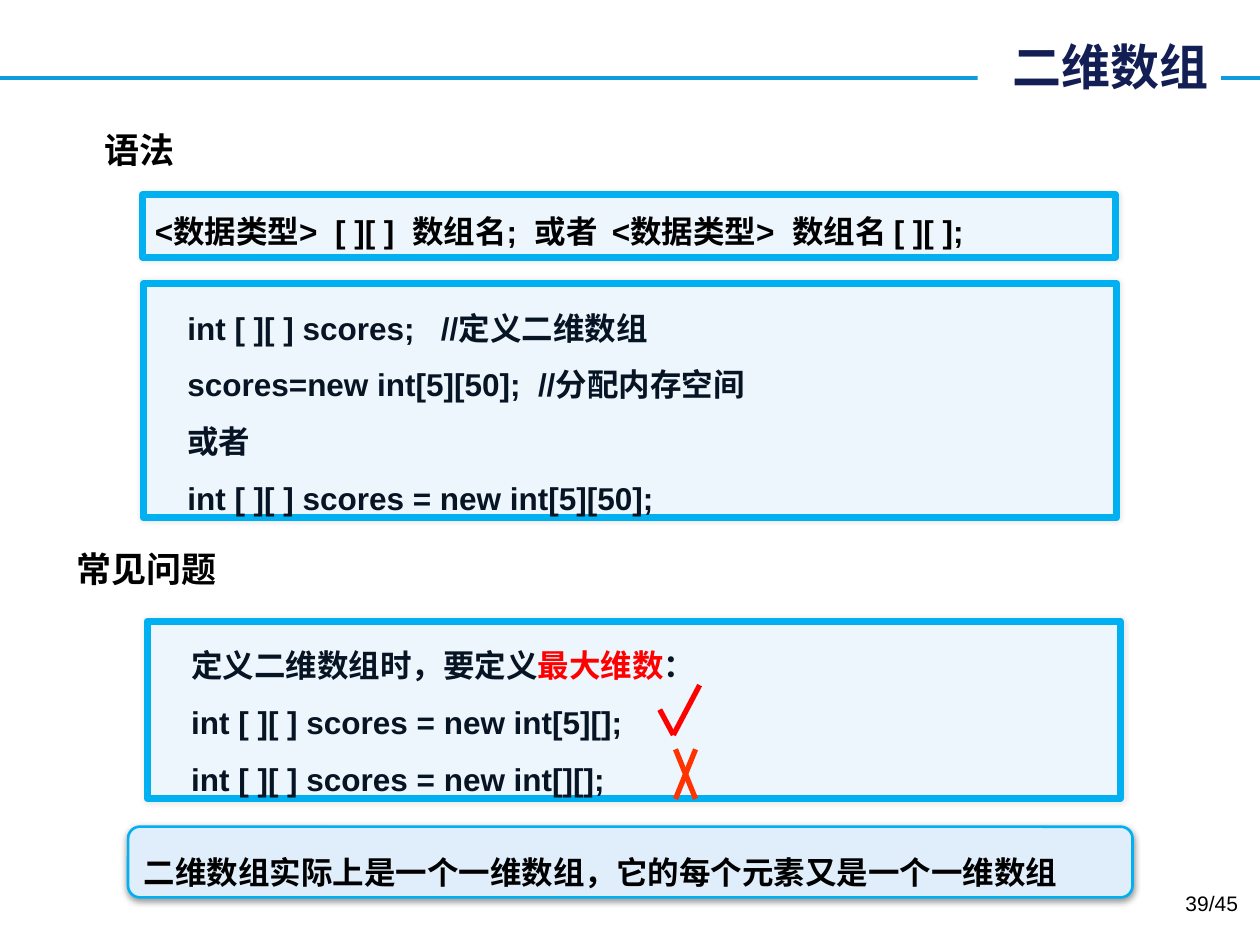
"""Build the slide on two-dimensional arrays."""
from lxml import etree
from pptx import Presentation
from pptx.dml.color import RGBColor
from pptx.enum import shapes, text
from pptx.oxml import ns
from pptx.util import Pt

HUES = {"rule": "0E9CDE", "edge": "00B0F0", "title": "121E54", "code": "071424",
        "black": "000000", "white": "FFFFFF", "pale": "EDF5FD", "note": "E0EEFB",
        "red": "FF0000", "cross": "FF3300"}
HAN = "Noto Sans CJK SC"


def hue(name):
    """Return the named colour."""
    return RGBColor.from_string(HUES[name])


def shade(alpha, blur, dist, turn):
    """Make an effect list with one outer shadow."""
    fx = etree.Element(ns.qn("a:effectLst"))
    cast = etree.SubElement(fx, ns.qn("a:outerShdw"), blurRad=str(Pt(blur)),
                            dist=str(Pt(dist)), dir=str(turn * 60000),
                            algn="ctr", rotWithShape="0")
    tint = etree.SubElement(cast, ns.qn("a:srgbClr"), val=HUES["black"])
    etree.SubElement(tint, ns.qn("a:alpha"), val=str(alpha * 1000))
    return fx


def add_run(para, words, size, tone, face="Arial", bold=True):
    """Add one formatted run with a Chinese font."""
    run = para.add_run()
    run.text = words
    run.font.size, run.font.bold, run.font.name = Pt(size), bold, face
    run.font.color.rgb = hue(tone)
    latin = run.font._element.find(ns.qn("a:latin"))
    east = etree.Element(ns.qn("a:ea"), typeface=HAN)
    latin.addnext(east)
    return run


def fill_text(frame, lines, size=18, face="Arial", space=1.5, left=0, hang=0):
    """Write lines, each a list of (words, colour) runs."""
    for i, line in enumerate(lines):
        para = frame.add_paragraph() if i else frame.paragraphs[0]
        para.alignment = text.PP_ALIGN.LEFT
        para.line_spacing = space
        if left:
            para.level = 1
            props = para._p.get_or_add_pPr()
            props.set("marL", str(Pt(left)))
            props.set("indent", str(Pt(-hang)))
        for words, tone in line:
            add_run(para, words, size, tone, face)


def add_panel(slide, box, fill, width, round_, cast):
    """Add a bordered panel and return its text frame."""
    panel = slide.shapes.add_shape(shapes.MSO_SHAPE.ROUNDED_RECTANGLE, *map(Pt, box))
    panel.adjustments[0] = round_
    panel.fill.solid()
    panel.fill.fore_color.rgb = hue(fill)
    panel.line.color.rgb = hue("edge")
    panel.line.width = Pt(width)
    panel.shadow.inherit = False
    props = panel._element.spPr
    props.replace(props.find(ns.qn("a:effectLst")), shade(*cast))
    frame = panel.text_frame
    frame.word_wrap = True
    frame.vertical_anchor = text.MSO_ANCHOR.TOP
    return frame


def add_code(slide, box, lines, **style):
    """Add a square panel of code lines."""
    frame = add_panel(slide, box, "pale", 4, 0, (10, 3, 0, 0))
    fill_text(frame, lines, **style)


def add_line(parent, ends, tone, width):
    """Add a straight line."""
    line = parent.add_connector(shapes.MSO_CONNECTOR.STRAIGHT, *map(Pt, ends))
    line.line.color.rgb = hue(tone)
    line.line.width = Pt(width)
    etree.SubElement(line._element.spPr, ns.qn("a:effectLst"))
    return line


def add_mark(slide, strokes, tone):
    """Add a grouped mark of several strokes."""
    group = slide.shapes.add_group_shape()
    for ends in strokes:
        add_line(group.shapes, ends, tone, 3)


def add_head(slide, box, words):
    """Add a section heading with shadowed text."""
    frame = slide.shapes.add_textbox(*map(Pt, box)).text_frame
    frame.word_wrap = False
    run = add_run(frame.paragraphs[0], words, 20, "black", HAN)
    run.font._element.find(ns.qn("a:solidFill")).addnext(shade(50, 3, 2, 45))


def add_title(slide, box, words):
    """Place the title over a full-width rule."""
    title = slide.shapes.title
    title.left, title.top, title.width, title.height = map(Pt, box)
    title.fill.solid()
    title.fill.fore_color.rgb = hue("white")
    frame = title.text_frame
    frame.auto_size = text.MSO_AUTO_SIZE.NONE
    frame.vertical_anchor = text.MSO_ANCHOR.MIDDLE
    frame.paragraphs[0].alignment = text.PP_ALIGN.RIGHT
    add_run(frame.paragraphs[0], words, 28, "title")
    rule = add_line(slide.shapes, (0, 44.8, 720, 44.8), "rule", 2.25)
    title._element.addprevious(rule._element)


def add_page(slide, box, words):
    """Add the page number."""
    frame = slide.shapes.add_textbox(*map(Pt, box)).text_frame
    frame.word_wrap = True
    frame.paragraphs[0].alignment = text.PP_ALIGN.RIGHT
    add_run(frame.paragraphs[0], words, 12, "black", bold=False)


def main():
    """Build and save the slide."""
    deck = Presentation()
    deck.slide_width, deck.slide_height = Pt(720), Pt(540)
    slide = deck.slides.add_slide(deck.slide_layouts[5])
    add_title(slide, (558.7, 15.1, 139, 44.6), "二维数组")
    note = add_panel(slide, (73.2, 472.4, 574, 40.4), "note", 1.5, 0.167, (40, 4, 1, 90))
    note.vertical_anchor = text.MSO_ANCHOR.MIDDLE
    fill_text(note, [[("二维数组实际上是一个一维数组，它的每个元素又是一个一维数组", "black")]],
              face="Calibri", left=22.5, hang=22.5)
    add_head(slide, (52.5, 69.8, 55.4, 31.7), "语法")
    add_head(slide, (36.7, 309.6, 95.8, 31.7), "常见问题")
    add_code(slide, (81.4, 111.4, 556, 35.5),
             [[("<数据类型>  [ ][ ]  数组名;  或者  <数据类型>  数组名 [ ][ ];", "black")]],
             space=1.3)
    usage = ["int [ ][ ] scores;   //定义二维数组", "scores=new int[5][50];  //分配内存空间",
             "或者", "int [ ][ ] scores = new int[5][50];"]
    add_code(slide, (82, 162, 556, 134), [[(line, "code")] for line in usage],
             left=36, hang=18)
    add_code(slide, (84.2, 355, 556, 101.3),
             [[("定义二维数组时，要定义", "code"), ("最大维数", "red"), ("：", "code")],
              [("int [ ][ ] scores = new int[5][];", "code")],
              [("int [ ][ ] scores = new int[][];", "code")]], left=36, hang=18)
    add_mark(slide, [(377, 405.5, 384.8, 420), (384.8, 420, 399.8, 391.5)], "red")
    add_mark(slide, [(386, 428.2, 397.5, 456.5), (397.5, 428.2, 386, 456.5)], "cross")
    add_page(slide, (546.5, 505.4, 168, 28.8), "39/45")
    deck.save("out.pptx")


if __name__ == "__main__":
    main()
